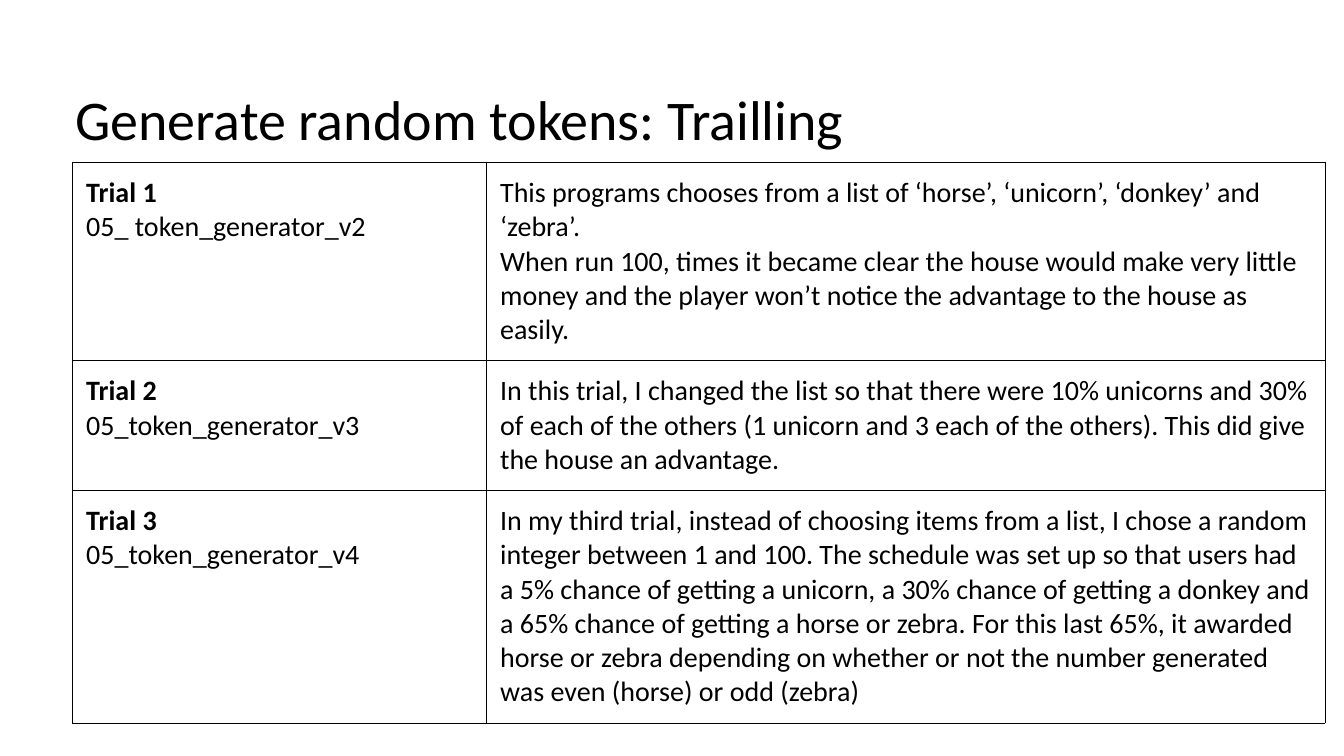
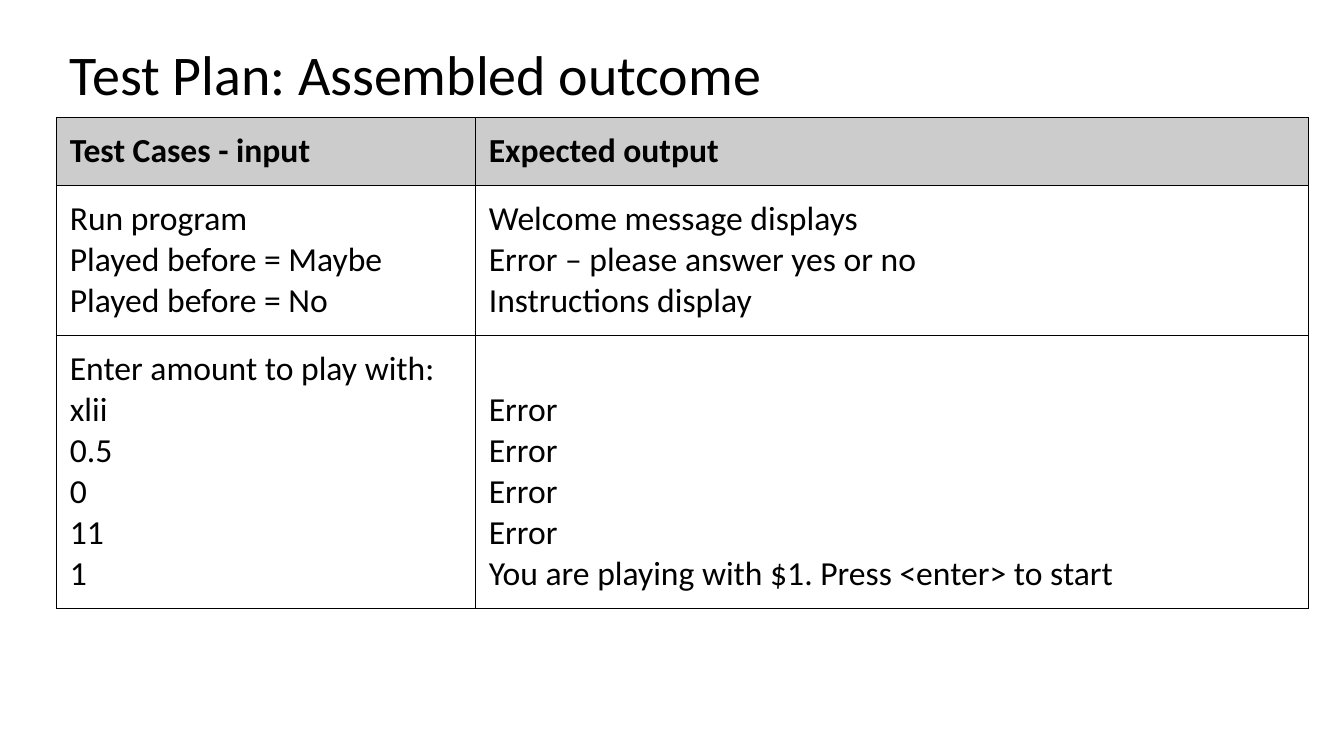
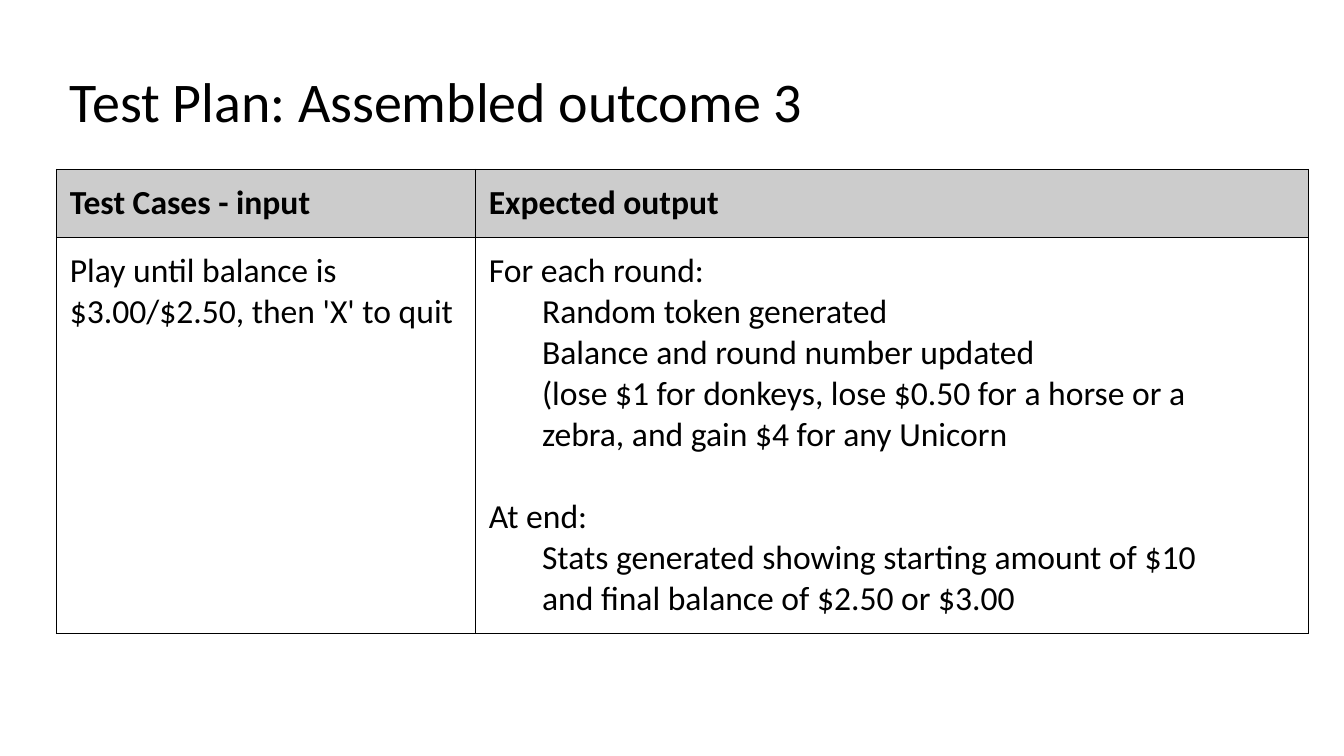
from dataclasses import dataclass

from lxml import etree
from pptx import Presentation
from pptx import util as u
from pptx.dml import color
from pptx.enum import text
from pptx.oxml import ns

FONT = "Calibri"
BLACK, WHITE, GREY = "000000", "FFFFFF", "CCCCCC"
INSET = 9.6
TABLE_WIDTH = 894.5
TITLE_HEIGHT = 60.5
LINE_GAP = 29.3
INDENT = 38
TITLE_ONLY = 5


@dataclass
class Line:
    text: str
    bold: bool = False
    indent: float = 0
    before: float = 0


def rgb(value):
    return color.RGBColor.from_string(value)


def set_insets(target, top=INSET):
    target.margin_left = target.margin_right = target.margin_bottom = u.Pt(INSET)
    target.margin_top = u.Pt(top)


def add_run(paragraph, content, size, bold=False):
    run = paragraph.add_run()
    run.text = content
    run.font.name = FONT
    run.font.size = u.Pt(size)
    run.font.bold = bold
    run.font.color.rgb = rgb(BLACK)


def add_titled_slide(presentation, title, left, top):
    slide = presentation.slides.add_slide(presentation.slide_layouts[TITLE_ONLY])
    shape = slide.shapes.title
    shape.left, shape.top = u.Pt(left), u.Pt(top)
    shape.width, shape.height = u.Pt(TABLE_WIDTH), u.Pt(TITLE_HEIGHT)
    frame = shape.text_frame
    set_insets(frame)
    frame.word_wrap = True
    frame.auto_size = text.MSO_AUTO_SIZE.NONE
    frame.vertical_anchor = text.MSO_ANCHOR.TOP
    paragraph = frame.paragraphs[0]
    paragraph.alignment = text.PP_ALIGN.LEFT
    paragraph.line_spacing = 0.9
    add_run(paragraph, title, 40)
    return slide


def add_borders(cell):
    properties = cell._tc.get_or_add_tcPr()
    for edge in ("a:lnL", "a:lnR", "a:lnT", "a:lnB"):
        line = etree.SubElement(properties, ns.qn(edge), w=str(u.Pt(0.75)))
        fill = etree.SubElement(line, ns.qn("a:solidFill"))
        etree.SubElement(fill, ns.qn("a:srgbClr"), val=BLACK)


def fill_cell(cell, lines, size, background):
    add_borders(cell)
    cell.fill.solid()
    cell.fill.fore_color.rgb = rgb(background)
    # A gap above the first line belongs to the cell inset
    set_insets(cell, INSET + lines[0].before)
    for index, line in enumerate(lines):
        frame = cell.text_frame
        paragraph = frame.add_paragraph() if index else frame.paragraphs[0]
        if index and line.before:
            paragraph.space_before = u.Pt(line.before)
        if line.indent:
            paragraph._p.get_or_add_pPr().set("marL", str(u.Pt(line.indent)))
        add_run(paragraph, line.text, size, line.bold)


def add_grid(slide, left, top, first_width, row_heights, rows, size, header=False):
    frame = slide.shapes.add_table(
        len(rows), 2, u.Pt(left), u.Pt(top), u.Pt(TABLE_WIDTH), u.Pt(sum(row_heights)))
    table = frame.table
    table.first_row = header
    table.horz_banding = False
    table.columns[0].width = u.Pt(first_width)
    table.columns[1].width = u.Pt(TABLE_WIDTH - first_width)
    for index, (height, row) in enumerate(zip(row_heights, rows)):
        table.rows[index].height = u.Pt(height)
        background = GREY if header and index == 0 else WHITE
        for column, lines in enumerate(row):
            fill_cell(table.cell(index, column), lines, size, background)


def plain(*contents):
    return [Line(content) for content in contents]


def indented(*contents):
    return [Line(content, indent=INDENT) for content in contents]


def add_trials_slide(presentation, title, trials, row_heights):
    slide = add_titled_slide(presentation, title, 44, 56)
    rows = [([Line(f"Trial {number}", bold=True), Line(program)], plain(*notes))
            for number, (program, *notes) in enumerate(trials, 1)]
    add_grid(slide, 52, 116, 295.7, row_heights, rows, 20)


def add_test_plan_slide(presentation, title, title_top, table_top, row_heights, cases):
    slide = add_titled_slide(presentation, title, 40.3, title_top)
    header = [[Line(label, bold=True)] for label in ("Test Cases - input", "Expected output")]
    add_grid(slide, 40.3, table_top, 299.3, row_heights, [header, *cases], 24, header=True)


def main():
    presentation = Presentation()
    presentation.slide_width, presentation.slide_height = u.Pt(960), u.Pt(540)

    # Token trials
    add_trials_slide(presentation, "Generate random tokens: Trailling", [
        ("05_ token_generator_v2",
         "This programs chooses from a list of ‘horse’, ‘unicorn’, ‘donkey’ and ‘zebra’.",
         "When run 100, times it became clear the house would make very little money and "
         "the player won’t notice the advantage to the house as easily."),
        ("05_token_generator_v3",
         "In this trial, I changed the list so that there were 10% unicorns and 30% of each "
         "of the others (1 unicorn and 3 each of the others). This did give the house an "
         "advantage."),
        ("05_token_generator_v4",
         "In my third trial, instead of choosing items from a list, I chose a random integer "
         "between 1 and 100. The schedule was set up so that users had a 5% chance of getting "
         "a unicorn, a 30% chance of getting a donkey and a 65% chance of getting a horse or "
         "zebra. For this last 65%, it awarded horse or zebra depending on whether or not the "
         "number generated was even (horse) or odd (zebra)"),
    ], [141.5, 92.5, 166])

    # Test plan: start of the game
    add_test_plan_slide(presentation, "Test Plan: Assembled outcome", 24, 84, [48.5, 107, 195], [
        (plain("Run program", "Played before = Maybe", "Played before = No"),
         plain("Welcome message displays", "Error – please answer yes or no",
               "Instructions display")),
        (plain("Enter amount to play with:", "xlii", "0.5", "0", "11", "1"),
         [Line("Error", before=LINE_GAP),
          *plain("Error", "Error", "Error",
                 "You are playing with $1. Press <enter> to start")]),
    ])

    # Test plan: rounds and end of the game
    add_test_plan_slide(presentation, "Test Plan: Assembled outcome 3", 43, 121, [48.5, 283], [
        (plain("Play until balance is", "$3.00/$2.50, then 'X' to quit"),
         [Line("For each round:"),
          *indented("Random token generated", "Balance and round number updated",
                    "(lose $1 for donkeys, lose $0.50 for a horse or a",
                    "zebra, and gain $4 for any Unicorn"),
          Line("At end:", before=LINE_GAP),
          *indented("Stats generated showing starting amount of $10",
                    "and final balance of $2.50 or $3.00")]),
    ])

    presentation.save("out.pptx")


if __name__ == "__main__":
    main()
